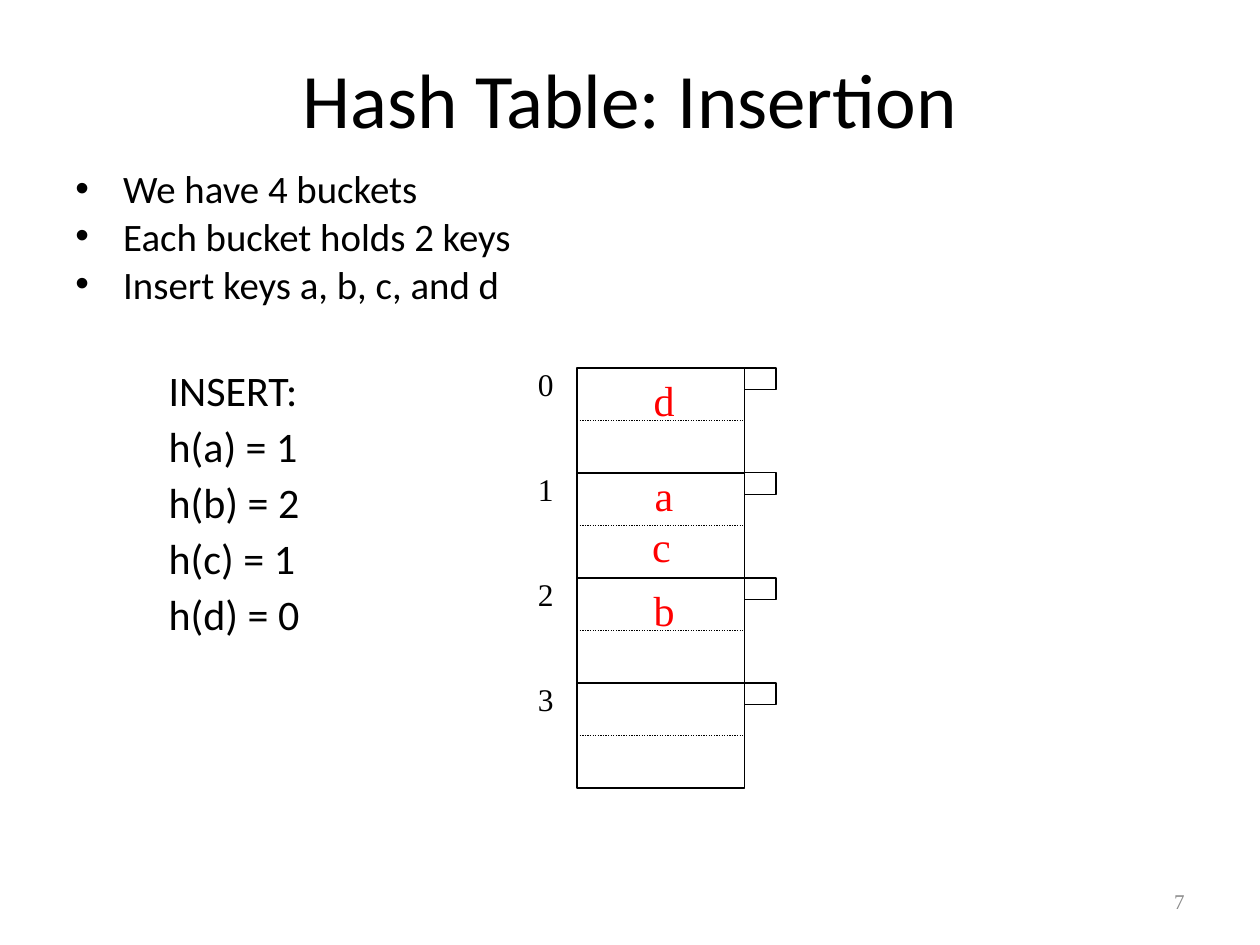
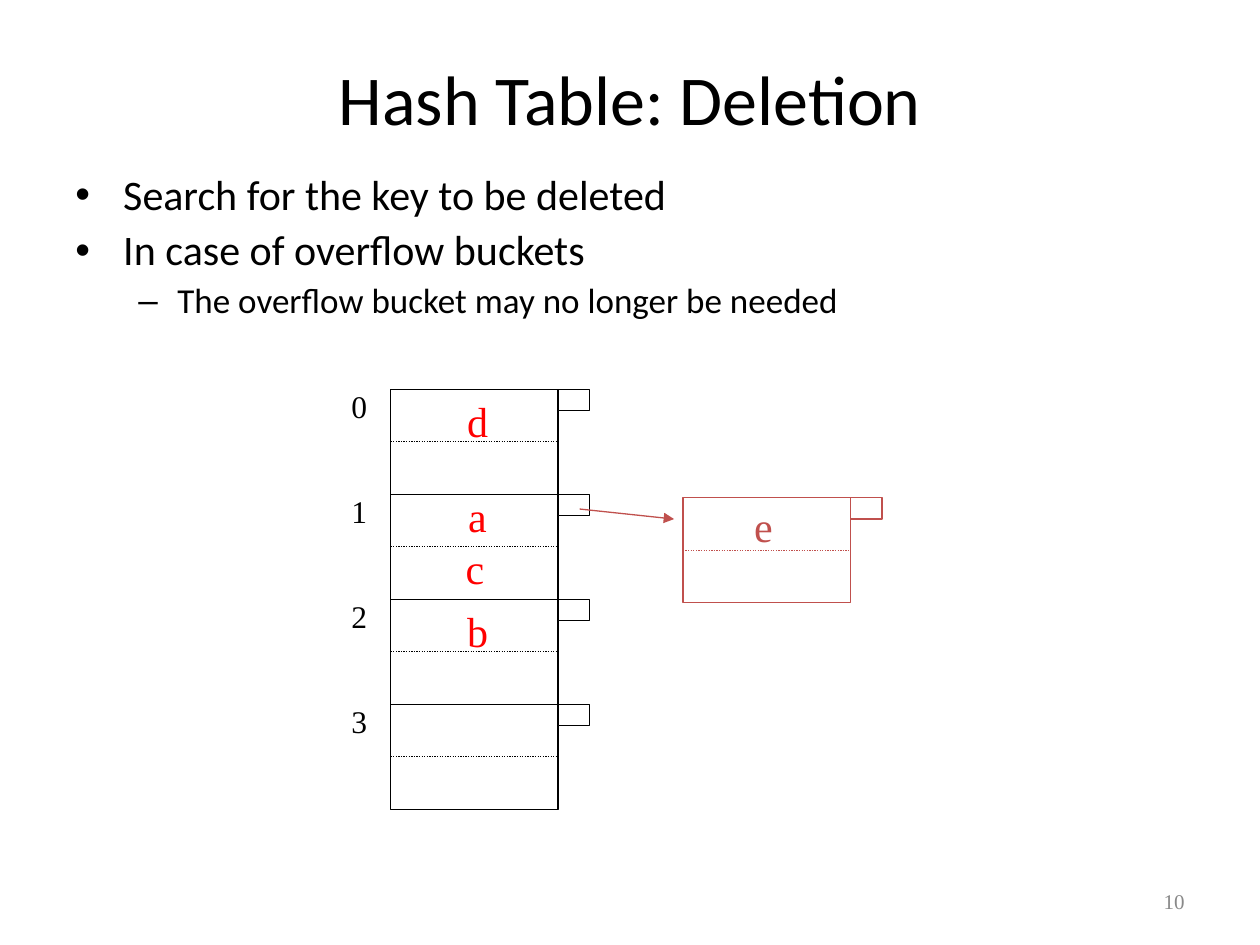
"""Two slides on hash tables: inserting and deleting keys in buckets."""
from lxml import etree
from pptx import Presentation
from pptx.dml.color import RGBColor
from pptx.enum import dml, shapes, text
from pptx.oxml.ns import qn
from pptx.util import Inches, Pt

COLORS = {"ink": "000000", "paper": "FFFFFF", "key": "FF0000",
          "overflow": "C0504D", "number": "898989"}
SANS, SERIF = "Calibri", "Times New Roman"
BUCKET_W, BUCKET_H = 1.33, 2.5 / 3
POINTER_W, POINTER_H = 0.25, 0.17
BULLETS = [("•", 0.38, -0.38), ("–", 0.81, -0.31)]


def write(slide, box, lines, size=24, font=SANS, color="ink", align="LEFT",
          anchor="TOP", spacing=1.0, before=6, bulleted=False, wrap=True):
    """Add a text box; each line is a pair of words and outline level."""
    frame = slide.shapes.add_textbox(*map(Inches, box)).text_frame
    frame.word_wrap = wrap
    frame.vertical_anchor = getattr(text.MSO_ANCHOR, anchor)
    for i, (words, level) in enumerate(lines):
        para = frame.paragraphs[0] if i == 0 else frame.add_paragraph()
        if bulleted:
            mark, margin, indent = BULLETS[level]
            props = para._p.get_or_add_pPr()
            props.set("marL", str(Inches(margin)))
            props.set("indent", str(Inches(indent)))
            etree.SubElement(props, qn("a:buFont")).set("typeface", "Arial")
            etree.SubElement(props, qn("a:buChar")).set("char", mark)
        para.level = level
        para.alignment = getattr(text.PP_ALIGN, align)
        para.line_spacing = spacing
        if i:
            para.space_before = Pt(before - level)
        run = para.add_run()
        run.text = words
        run.font.size = Pt(size - 4 * level)
        run.font.name = font
        run.font.color.rgb = RGBColor.from_string(COLORS[color])


def draw_bucket(slide, left, top, keys, outline="ink", key_color="key"):
    """Draw a two-slot bucket with its pointer cell and its keys."""
    right, middle = left + BUCKET_W, top + BUCKET_H / 2
    cells = []
    for x, width, height in [(left, BUCKET_W, BUCKET_H), (right, POINTER_W, POINTER_H)]:
        cell = slide.shapes.add_shape(shapes.MSO_SHAPE.RECTANGLE, Inches(x), Inches(top),
                                      Inches(width), Inches(height))
        cell.shadow.inherit = False
        cell.fill.solid()
        cell.fill.fore_color.rgb = RGBColor.from_string(COLORS["paper"])
        cell.line.color.rgb = RGBColor.from_string(COLORS[outline])
        cell.line.width = Pt(0.75)
        cells.append(cell)
    divider = slide.shapes.add_connector(shapes.MSO_CONNECTOR.STRAIGHT, Inches(left),
                                         Inches(middle), Inches(right), Inches(middle))
    divider.begin_connect(cells[0], 1)
    divider.end_connect(cells[0], 3)
    divider.line.color.rgb = RGBColor.from_string(COLORS[outline])
    divider.line.width = Pt(0.75)
    divider.line.dash_style = dml.MSO_LINE.ROUND_DOT
    for key, dx, dy in keys:
        write(slide, (left + dx, top + dy, 0.36, 0.5), [(key, 0)], font=SERIF,
              color=key_color, align="CENTER", anchor="MIDDLE", wrap=False)


deck = Presentation()
deck.slide_width, deck.slide_height = Inches(10), Inches(7.5)

TABLE = [[("d", 0.51, 0)], [("a", 0.51, -0.08), ("c", 0.49, 0.33)], [("b", 0.51, 0)], []]
TOPICS = [
    dict(title="Hash Table: Insertion", title_size=44, number="7", table=(4.58, 2.92),
         points=[("We have 4 buckets", 0), ("Each bucket holds 2 keys", 0),
                 ("Insert keys a, b, c, and d", 0)],
         points_h=1.17, points_size=22.2, spacing=0.8),
    dict(title="Hash Table: Deletion", title_size=40, number="10", table=(3.1, 3.09),
         points=[("Search for the key to be deleted", 0), ("In case of overflow buckets", 0),
                 ("The overflow bucket may no longer be needed", 1)],
         points_h=1.58, points_size=24, spacing=0.9),
]

for topic in TOPICS:
    slide = deck.slides.add_slide(deck.slide_layouts[6])
    write(slide, (0.5, 0.3, 9, 0.95), [(topic["title"], 0)], size=topic["title_size"],
          align="CENTER", anchor="MIDDLE")
    write(slide, (0.5, 1.33, 7.67, topic["points_h"]), topic["points"],
          size=topic["points_size"], spacing=topic["spacing"], bulleted=True)
    write(slide, (7.17, 6.95, 2.33, 0.4), [(topic["number"], 0)], size=12, font=SERIF,
          color="number", align="RIGHT", anchor="MIDDLE")
    left, first_top = topic["table"]
    for index, keys in enumerate(TABLE):
        top = first_top + index * BUCKET_H
        draw_bucket(slide, left, top, keys)
        write(slide, (left - 0.41, top - 0.07, 0.32, 0.4), [(str(index), 0)], size=18,
              font=SERIF, align="CENTER", anchor="MIDDLE", wrap=False)

insertion, deletion = deck.slides
hashes = ["INSERT:", "h(a) = 1", "h(b) = 2", "h(c) = 1", "h(d) = 0"]
write(insertion, (1.24, 2.89, 2.01, 2.44), [(line, 0) for line in hashes], spacing=0.9)

draw_bucket(deletion, 5.42, 3.95, [("e", 0.46, -0.03)], "overflow", "overflow")
overflow_link = deletion.shapes.add_connector(
    shapes.MSO_CONNECTOR.STRAIGHT, Inches(4.6), Inches(4.04), Inches(5.35), Inches(4.12))
overflow_link.line.color.rgb = RGBColor.from_string(COLORS["overflow"])
overflow_link.line.width = Pt(0.75)
etree.SubElement(overflow_link.line._get_or_add_ln(), qn("a:tailEnd")).set("type", "triangle")

for slide in deck.slides:
    for part in slide.shapes:
        if part.shape_type == shapes.MSO_SHAPE_TYPE.LINE:
            etree.SubElement(part._element.spPr, qn("a:effectLst"))

deck.save("out.pptx")
